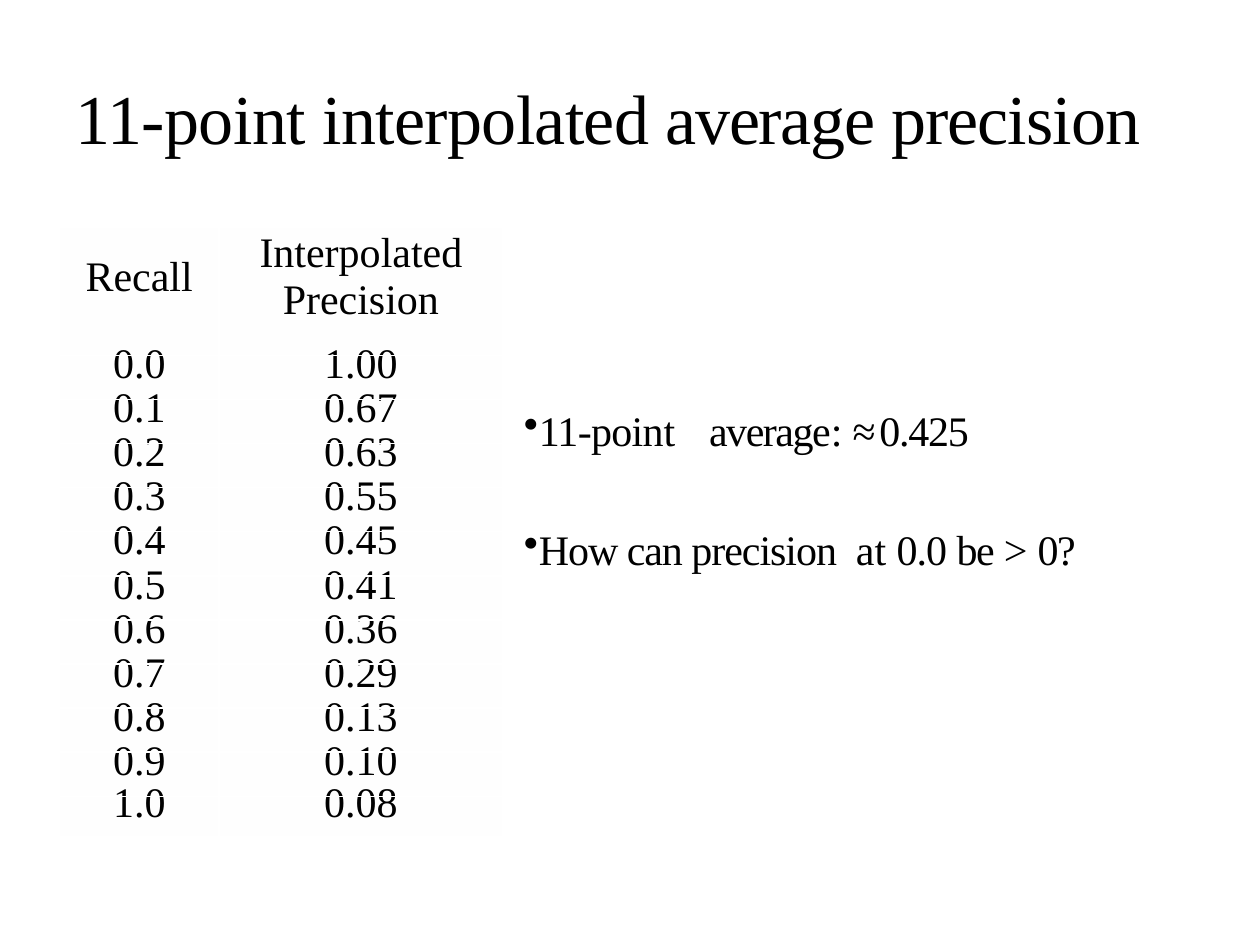
import pptx
import pptx.dml.color
import pptx.enum.text
import pptx.oxml
import pptx.oxml.ns
import pptx.util
from pptx.util import Inches, Pt

FONT = "Times New Roman"
BLACK, CELL = "000000", "FEFEFE"

# Content: each text run carries its letter spacing in points
TITLE = [("11-point ", -0.3), ("interpolated ", -0.4), ("average ", -0.8), ("precision", -0.5)]
BULLETS = [
    [("11-poin", -0.4), ("t \t", 0.8), ("average", -0.85), (": ", -0.1), ("≈", 2), ("0.425", -0.7)],
    [("How can precision  ", -0.6), ("at ", 0), ("0.0 ", -0.6), ("be ", -0.8), ("> ", -0.3), ("0?", -0.9)],
]
HEADER = ("Recall", "Interpolated\nPrecision")
PRECISION = ["1.00", "0.67", "0.63", "0.55", "0.45", "0.41", "0.36", "0.29", "0.13", "0.10", "0.08"]
ROWS = [HEADER] + [(f"{i / 10:.1f}", value) for i, value in enumerate(PRECISION)]

COLUMN_WIDTHS = (1.27, 2.25)
ROW_HEIGHTS = [1.02] + [0.35] * 10 + [0.32]
LINE_HEIGHTS = [10.4] + [11.7] * 10 + [11.2]


def color(hex_string):
    return pptx.dml.color.RGBColor.from_string(hex_string)


def style_run(run, size, spacing=0):
    run.font.name = FONT
    run.font.size = Pt(size)
    run.font.color.rgb = color(BLACK)
    if spacing:
        run._r.get_or_add_rPr().set("spc", str(round(spacing * 100)))


def add_runs(paragraph, pieces, size):
    for text, spacing in pieces:
        run = paragraph.add_run()
        run.text = text
        style_run(run, size, spacing)


def add_text_box(slide, left, top, width, height):
    frame = slide.shapes.add_textbox(Inches(left), Inches(top), Inches(width), Inches(height)).text_frame
    frame.word_wrap = True
    return frame


def add_bullet(paragraph):
    properties = paragraph._p.get_or_add_pPr()
    properties.set("marL", str(Inches(0.01)))
    properties.set("indent", str(Inches(-0.38)))
    namespace = pptx.oxml.ns.nsdecls("a")
    properties.append(pptx.oxml.parse_xml(f'<a:buChar {namespace} char="•"/>'))
    stops = "".join(f'<a:tab pos="{Inches(stop)}" algn="l"/>' for stop in (0.69, 1.47))
    properties.append(pptx.oxml.parse_xml(f"<a:tabLst {namespace}>{stops}</a:tabLst>"))


def fill_cell(cell, text, line_height):
    cell.fill.solid()
    cell.fill.fore_color.rgb = color(CELL)
    cell.margin_left = cell.margin_right = cell.margin_top = cell.margin_bottom = 0
    cell.vertical_anchor = pptx.enum.text.MSO_ANCHOR.MIDDLE
    cell.text_frame.text = text
    for paragraph in cell.text_frame.paragraphs:
        paragraph.alignment = pptx.enum.text.PP_ALIGN.CENTER
        style_run(paragraph.runs[0], 24)
    cell.text_frame.paragraphs[0].line_spacing = Pt(line_height)


def main():
    deck = pptx.Presentation()
    deck.slide_width, deck.slide_height = Inches(10), Inches(7.5)
    slide = deck.slides.add_slide(deck.slide_layouts[6])

    # Title
    title = add_text_box(slide, 0.5, 0.3, 9, 1.25)
    title.vertical_anchor = pptx.enum.text.MSO_ANCHOR.MIDDLE
    add_runs(title.paragraphs[0], TITLE, 40)

    # Bullets beside the table
    remarks = add_text_box(slide, 4.06, 3.16, 5.44, 1.61)
    for i, pieces in enumerate(BULLETS):
        bullet = remarks.add_paragraph() if i else remarks.paragraphs[0]
        bullet.space_before = Pt(39 if i else 0.9)
        add_runs(bullet, pieces, 24)
        add_bullet(bullet)

    # Recall and precision table
    table = slide.shapes.add_table(
        len(ROWS), len(HEADER), Inches(0.47), Inches(1.8),
        Inches(sum(COLUMN_WIDTHS)), Inches(sum(ROW_HEIGHTS))).table
    table.first_row = table.horz_banding = False
    for column, width in zip(table.columns, COLUMN_WIDTHS):
        column.width = Inches(width)
    for r, (texts, height, line_height) in enumerate(zip(ROWS, ROW_HEIGHTS, LINE_HEIGHTS)):
        table.rows[r].height = Inches(height)
        for c, text in enumerate(texts):
            fill_cell(table.cell(r, c), text, line_height)

    deck.save("out.pptx")


if __name__ == "__main__":
    main()
